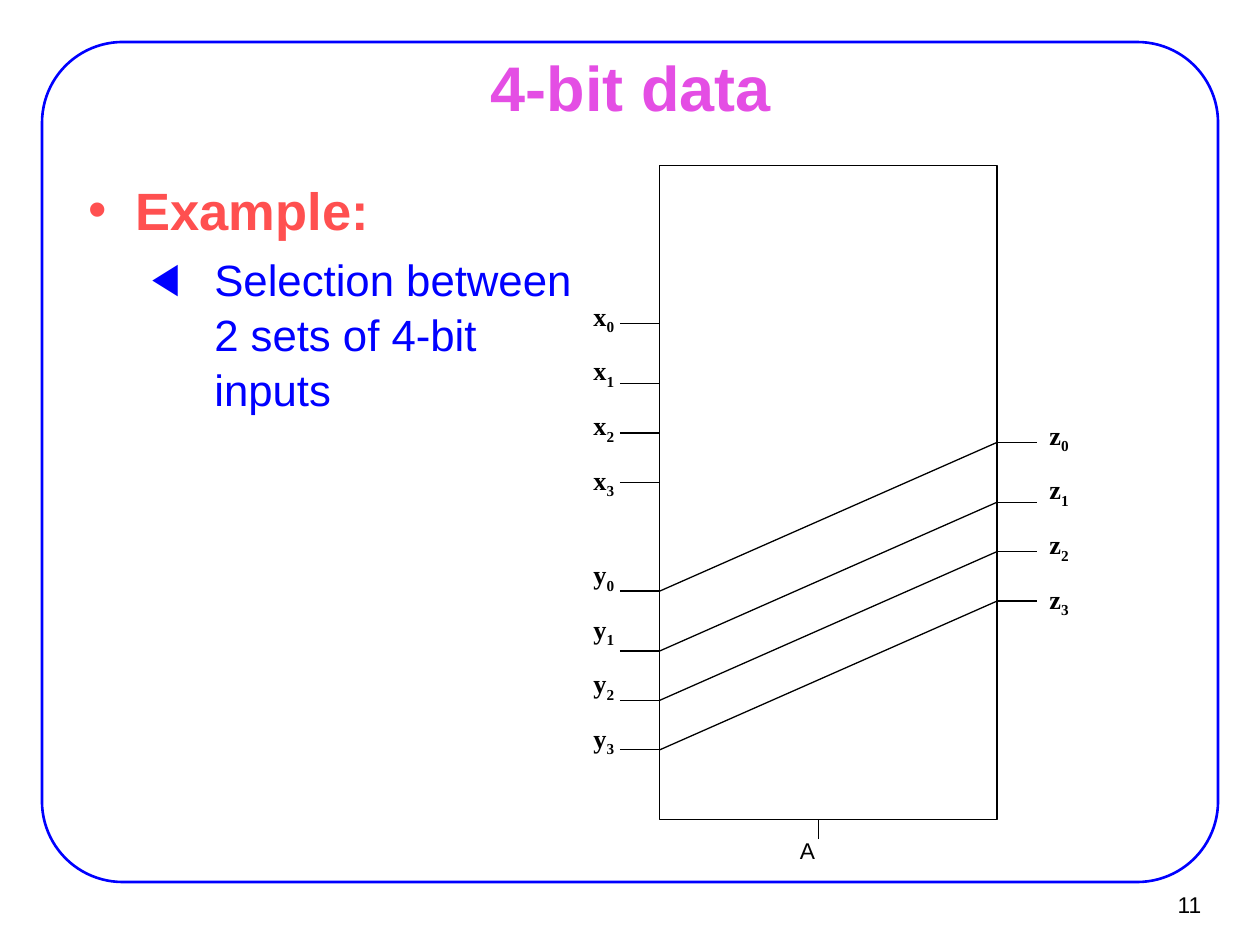
from dataclasses import dataclass

from lxml.etree import SubElement
from pptx import Presentation
from pptx.dml.color import RGBColor
from pptx.enum.shapes import MSO_CONNECTOR, MSO_SHAPE
from pptx.enum.text import MSO_ANCHOR, PP_ALIGN
from pptx.oxml.ns import qn
from pptx.util import Pt

BLACK = RGBColor(0x00, 0x00, 0x00)
BLUE = RGBColor(0x00, 0x00, 0xFF)
CORAL = RGBColor(0xFF, 0x50, 0x50)
ORCHID = RGBColor(0xE4, 0x4E, 0xE4)

MUX_LEFT, MUX_TOP, MUX_RIGHT, MUX_BOTTOM = 377, 94.5, 569.75, 468.5
STUB = 22.75
WIRE_OFFSETS = (0, 34.2, 62.4, 90.7)
LABEL_PITCH = 31.2
SELECT_X = 467.8


@dataclass(frozen=True)
class Area:
    left: float
    top: float
    width: float
    height: float


@dataclass(frozen=True)
class Style:
    size: float
    color: RGBColor
    bold: bool = False
    font: str = "Arial"


@dataclass(frozen=True)
class Bus:
    name: str
    label_left: float
    label_top: float
    stub_left: float
    wire_top: float


@dataclass(frozen=True)
class Bullet:
    text: str
    symbol: str
    style: Style
    indent: float
    hanging: float
    space_before: float


LABEL = Style(15, BLACK, True, "Times New Roman")
SMALL = Style(13, BLACK)

X_BUS = Bus("x", 332, 168, MUX_LEFT - STUB, 185)
Y_BUS = Bus("y", 332, 315.5, MUX_LEFT - STUB, 337.8)
Z_BUS = Bus("z", 592.6, 236, MUX_RIGHT, 252.8)

BULLETS = (
    Bullet("Example:", "•", Style(30, CORAL, True), 27, 27, 6),
    Bullet("Selection between 2 sets of 4-bit inputs", "◀",
           Style(25, BLUE), 72, 36, 5),
)


def style_run(span, style: Style) -> None:
    span.font.name = style.font
    span.font.size = Pt(style.size)
    span.font.bold = style.bold
    span.font.color.rgb = style.color


def add_box(page, area: Area, wrap: bool = True):
    box = page.shapes.add_textbox(
        Pt(area.left), Pt(area.top), Pt(area.width), Pt(area.height))
    box.text_frame.word_wrap = wrap
    return box


def add_text(page, area: Area, text: str, style: Style,
             align=PP_ALIGN.LEFT, anchor=MSO_ANCHOR.TOP, wrap: bool = True) -> None:
    frame = add_box(page, area, wrap).text_frame
    frame.text = text
    frame.vertical_anchor = anchor
    para = frame.paragraphs[0]
    para.alignment = align
    style_run(para.runs[0], style)


def add_bullets(page, area: Area, bullets: tuple[Bullet, ...]) -> None:
    frame = add_box(page, area).text_frame
    frame.margin_left = frame.margin_right = Pt(8)
    frame.margin_top = frame.margin_bottom = Pt(4)
    frame.text = "\n".join(bullet.text for bullet in bullets)
    for level, (para, bullet) in enumerate(zip(frame.paragraphs, bullets)):
        para.level = level
        para.space_before = Pt(bullet.space_before)
        para.line_spacing = 1.05
        style_run(para.runs[0], bullet.style)
        properties = para._p.get_or_add_pPr()
        properties.set("marL", str(Pt(bullet.indent)))
        properties.set("indent", str(-Pt(bullet.hanging)))
        SubElement(properties, qn("a:buFont")).set("typeface", "Arial")
        SubElement(properties, qn("a:buChar")).set("char", bullet.symbol)


def add_outline(page, preset, area: Area, color: RGBColor, weight: float):
    shape = page.shapes.add_shape(
        preset, Pt(area.left), Pt(area.top), Pt(area.width), Pt(area.height))
    shape.shadow.inherit = False
    shape.fill.background()
    shape.line.color.rgb = color
    shape.line.width = Pt(weight)
    return shape


def add_wire(page, start_x: float, start_y: float, end_x: float, end_y: float) -> None:
    wire = page.shapes.add_connector(
        MSO_CONNECTOR.STRAIGHT, Pt(start_x), Pt(start_y), Pt(end_x), Pt(end_y))
    wire.line.color.rgb = BLACK
    wire.line.width = Pt(0.75)
    SubElement(wire._element.spPr, qn("a:effectLst"))


def add_bus(page, bus: Bus) -> None:
    for bit, offset in enumerate(WIRE_OFFSETS):
        area = Area(bus.label_left, bus.label_top + bit * LABEL_PITCH, 34, 25)
        para = add_box(page, area).text_frame.paragraphs[0]
        for text in (bus.name, str(bit)):
            span = para.add_run()
            span.text = text
            style_run(span, LABEL)
        para.runs[1].font._element.set("baseline", "-25000")
        height = bus.wire_top + offset
        add_wire(page, bus.stub_left, height, bus.stub_left + STUB, height)


def main() -> None:
    deck = Presentation()
    deck.slide_width, deck.slide_height = Pt(720), Pt(540)
    page = deck.slides.add_slide(deck.slide_layouts[6])

    border = add_outline(page, MSO_SHAPE.ROUNDED_RECTANGLE,
                         Area(24, 24, 672, 480), BLUE, 1.5)
    border.adjustments[0] = 0.096
    add_text(page, Area(649.5, 503.5, 44, 26.5), "11", SMALL,
             PP_ALIGN.RIGHT, MSO_ANCHOR.MIDDLE, wrap=False)
    add_text(page, Area(54.5, 31.5, 612, 35.5), "4-bit data",
             Style(36, ORCHID, True), PP_ALIGN.CENTER, MSO_ANCHOR.MIDDLE)
    add_bullets(page, Area(42.5, 96, 300, 366), BULLETS)

    for bus in (X_BUS, Y_BUS, Z_BUS):
        add_bus(page, bus)
    add_outline(page, MSO_SHAPE.RECTANGLE,
                Area(MUX_LEFT, MUX_TOP, MUX_RIGHT - MUX_LEFT, MUX_BOTTOM - MUX_TOP),
                BLACK, 0.75)
    add_text(page, Area(450, 474.5, 23, 23), "A", SMALL, wrap=False)
    add_wire(page, SELECT_X, MUX_BOTTOM + 11, SELECT_X, MUX_BOTTOM)
    for offset in WIRE_OFFSETS:
        add_wire(page, MUX_LEFT, Y_BUS.wire_top + offset,
                 MUX_RIGHT, Z_BUS.wire_top + offset)

    deck.save("out.pptx")


if __name__ == "__main__":
    main()
